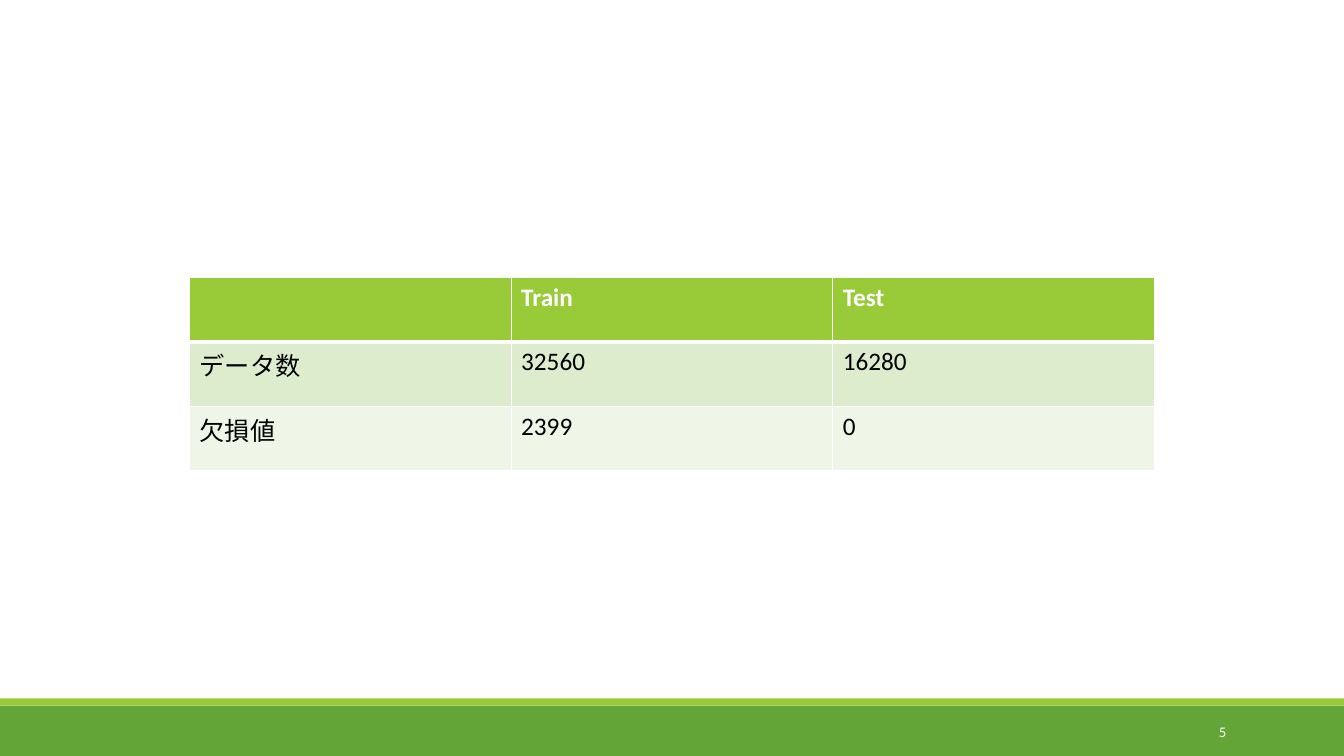
import pptx
import pptx.util
import pptx.dml.color
import pptx.enum.shapes
import pptx.enum.text
import pptx.oxml.ns
import lxml.etree

ROWS = [
    ("", "Train", "Test"),
    ("データ数", "32560", "16280"),
    ("欠損値", "2399", "0"),
]
PAGE_NUMBER = "5"
FONT = "Calibri"
COLORS = {
    "lime": "99CB38",
    "green": "63A537",
    "odd": "DEECCE",
    "even": "EFF6E8",
    "white": "FFFFFF",
    "black": "000000",
}
ROW_FILLS = ["lime", "odd", "even"]
WIDTH, HEIGHT = 13.33, 7.5
BANDS = [("green", 7, 0.5), ("lime", 6.93, 0.07)]
TABLE_LEFT, TABLE_TOP = 1.88, 2.75
COLUMN_WIDTH, ROW_HEIGHT = 3.19, 0.64


def inches(*lengths):
    return [pptx.util.Inches(length) for length in lengths]


def color(name):
    return pptx.dml.color.RGBColor.from_string(COLORS[name])


def write(para, text, size, color_name, bold=False):
    span = para.add_run()
    span.text = text
    span.font.name = FONT
    span.font.size = pptx.util.Pt(size)
    span.font.bold = bold
    span.font.color.rgb = color(color_name)


def add_border(cell, side, points, position):
    qn = pptx.oxml.ns.qn
    line = lxml.etree.Element(qn("a:ln" + side), w=str(pptx.util.Pt(points)))
    fill = lxml.etree.SubElement(line, qn("a:solidFill"))
    lxml.etree.SubElement(fill, qn("a:srgbClr"), val=COLORS["white"])
    cell._tc.get_or_add_tcPr().insert(position, line)


deck = pptx.Presentation()
deck.slide_width, deck.slide_height = inches(WIDTH, HEIGHT)
page = deck.slides.add_slide(deck.slide_layouts[6])

for name, top, height in BANDS:
    band = page.shapes.add_shape(
        pptx.enum.shapes.MSO_SHAPE.RECTANGLE, *inches(0, top, WIDTH, height))
    band.shadow.inherit = False
    band.fill.solid()
    band.fill.fore_color.rgb = color(name)
    band.line.fill.background()

table = page.shapes.add_table(
    len(ROWS), len(ROWS[0]),
    *inches(TABLE_LEFT, TABLE_TOP,
            COLUMN_WIDTH * len(ROWS[0]), ROW_HEIGHT * len(ROWS))).table

for row, texts in enumerate(ROWS):
    header = row == 0
    for column, text in enumerate(texts):
        cell = table.cell(row, column)
        cell.fill.solid()
        cell.fill.fore_color.rgb = color(ROW_FILLS[row])
        borders = {"L": 1, "R": 1, "T": 3 if row == 1 else 1, "B": 3 if header else 1}
        for position, (side, points) in enumerate(borders.items()):
            add_border(cell, side, points, position)
        if text:
            write(cell.text_frame.paragraphs[0], text, 18,
                  "white" if header else "black", header)

box = page.shapes.add_textbox(*inches(10.83, 7.06, 1.43, 0.4))
box.text_frame.word_wrap = True
box.text_frame.vertical_anchor = pptx.enum.text.MSO_ANCHOR.MIDDLE
para = box.text_frame.paragraphs[0]
para.alignment = pptx.enum.text.PP_ALIGN.RIGHT
write(para, PAGE_NUMBER, 10.5, "white")

deck.save("out.pptx")
